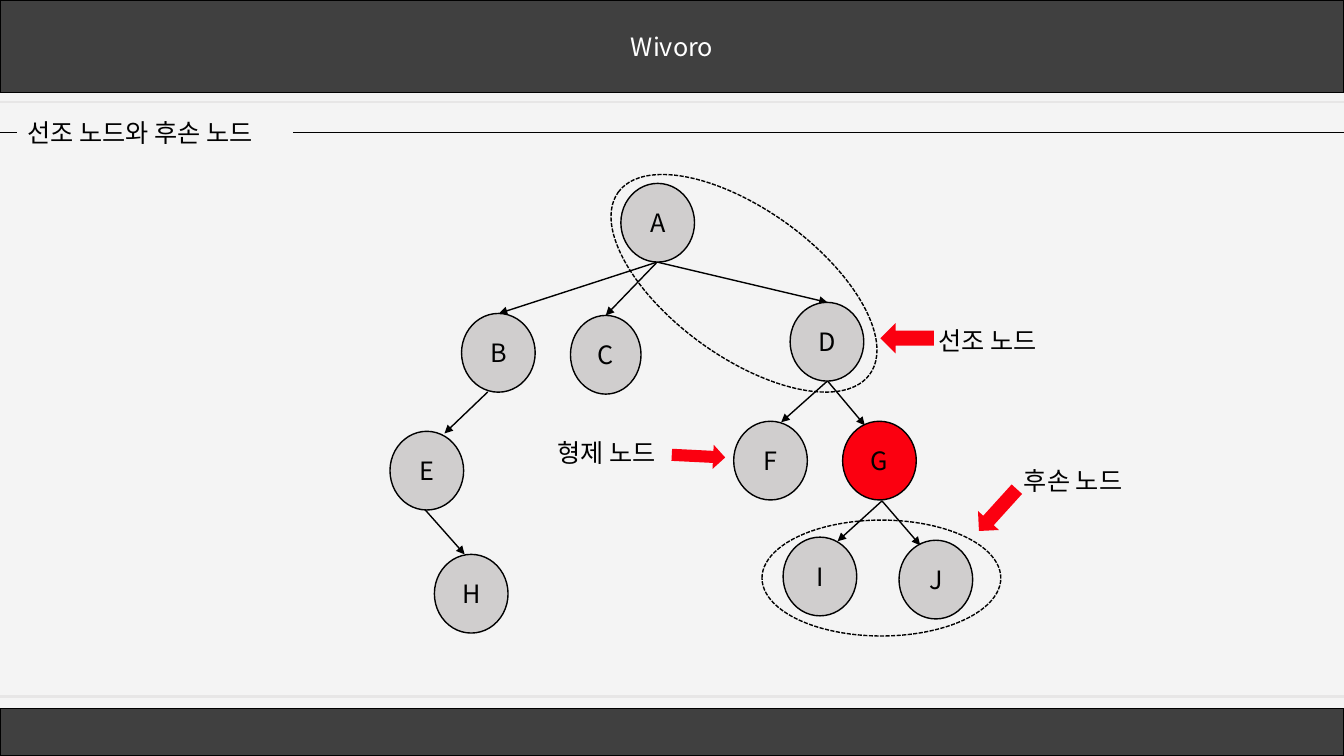
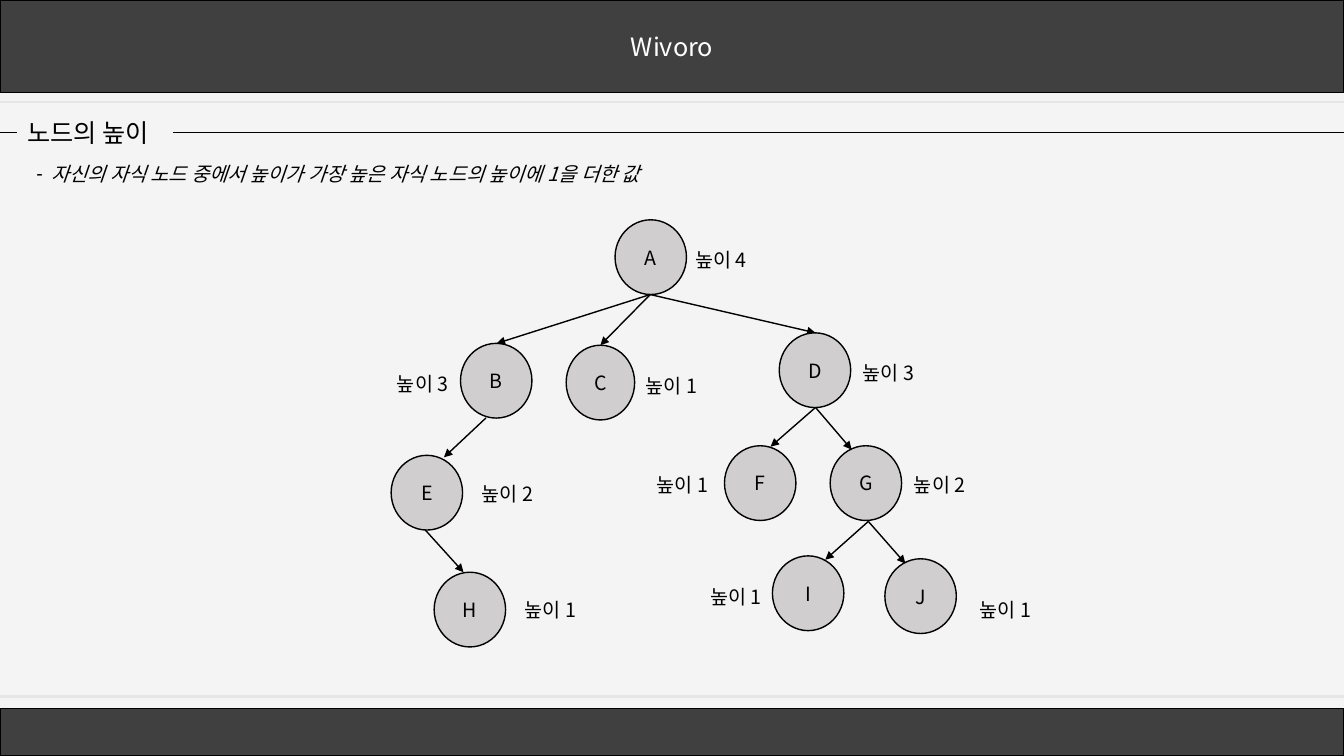
from dataclasses import dataclass

import lxml.etree
import pptx
import pptx.dml.color
import pptx.enum.dml
import pptx.enum.shapes
import pptx.enum.text
import pptx.oxml.ns
import pptx.util

Pt = pptx.util.Pt
RGB = pptx.dml.color.RGBColor.from_string
qn = pptx.oxml.ns.qn
ALIGN = pptx.enum.text.PP_ALIGN
SHAPE = pptx.enum.shapes.MSO_SHAPE


@dataclass(frozen=True)
class Theme:
    font: str = "Noto Sans CJK KR"
    ink: str = "000000"
    paper: str = "F4F4F4"
    band: str = "404040"
    band_text: str = "FFFFFF"
    rule: str = "E7E6E6"
    node: str = "D0CECE"
    accent: str = "FB0010"
    large: int = 18
    small: int = 14


theme = Theme()


def write_text(shape, text, size, color=theme.ink, align=ALIGN.LEFT):
    frame = shape.text_frame
    frame.text = text
    frame.word_wrap = True
    frame.auto_size = pptx.enum.text.MSO_AUTO_SIZE.NONE
    frame.vertical_anchor = pptx.enum.text.MSO_ANCHOR.MIDDLE
    paragraph = frame.paragraphs[0]
    paragraph.alignment = align
    paragraph.space_before = Pt(0)
    paragraph.line_spacing = 1.0
    paragraph.font.size = Pt(size)
    paragraph.font.name = theme.font
    paragraph.font.color.rgb = RGB(color)
    properties = paragraph._p.pPr.find(qn("a:defRPr"))
    lxml.etree.SubElement(properties, qn("a:ea"), typeface=theme.font)
    return paragraph


def draw_line(slide, start, end, color, width, arrow=False):
    line = slide.shapes.add_connector(
        pptx.enum.shapes.MSO_CONNECTOR.STRAIGHT, *map(Pt, start + end))
    line.line.color.rgb = RGB(color)
    line.line.width = Pt(width)
    if arrow:
        lxml.etree.SubElement(line.line._get_or_add_ln(), qn("a:tailEnd"), type="triangle")
    lxml.etree.SubElement(line._element.spPr, qn("a:effectLst"))


slide_width, slide_height = 960, 540
title_left, title_top, title_height = 12.2, 79.9, 28.8
title_middle = title_top + title_height / 2
node_width, narrow_width, node_height = 52.6, 50.4, 56.2

nodes = {
    "A": (164.9, 0), "B": (51.1, 92.9), "C": (128.9, 94.3), "D": (285.8, 85),
    "E": (0, 177.1), "F": (245.5, 169.9), "G": (323.3, 169.9),
    "H": (31.7, 265), "I": (280.8, 252.7), "J": (363.6, 254.9),
}
edges = [
    ((190.8, 56.2), (77.8, 92.9)),
    ((190.8, 56.2), (154.1, 94.3)),
    ((190.8, 56.2), (312.5, 85)),
    ((69.8, 149), (38.9, 178.6)),
    ((25.2, 233.3), (53.3, 265)),
    ((312.5, 141.1), (279.4, 170.6)),
    ((312.5, 141.1), (339.1, 172.8)),
    ((351.4, 226.8), (319.7, 255.6)),
    ((351.4, 226.8), (378.7, 258.5)),
]

heights = [
    ("4", 489.6, 173.5), ("3", 276.5, 262.1), ("1", 454.3, 263.5),
    ("3", 609.1, 254.2), ("2", 337, 340.6), ("1", 462.2, 334.1),
    ("2", 645.8, 334.1), ("1", 367.9, 423.4), ("1", 500.4, 414),
    ("1", 692.6, 423.4),
]
pages = [
    {
        "title": "선조 노드와 후손 노드", "title_width": 197.3, "body": None,
        "origin": (278.6, 131), "scale": (1, 1), "size": theme.large,
        "highlight": "G",
        "labels": [
            ("선조 노드", (663.1, 229, 95, 28.8)),
            ("후손 노드", (724.3, 329, 106.6, 28.8)),
            ("형제 노드", (391, 311.8, 112.3, 23)),
        ],
        "groups": [
            ((544.3, 371.5, 170.6, 82.8), 0),
            ((420.5, 149.8, 221.8, 105.1), 35.9),
        ],
        "pointers": [
            ((637.2, 222.5, 21.6, 38.2), 90),
            ((702.7, 344.2, 20.2, 40.3), 42.2),
            ((490.3, 306.7, 17.3, 38.2), 272.9),
        ],
    },
    {
        "title": "노드의 높이", "title_width": 111.6,
        "body": "자신의 자식 노드 중에서 높이가 가장 높은 자식 노드의 높이에 1을 더한 값",
        "origin": (279.4, 157), "scale": (0.97, 0.95), "size": theme.small,
        "highlight": None,
        "labels": [(f"높이 {value}", (left, top, 55.4, 24.5))
                   for value, left, top in heights],
        "groups": [], "pointers": [],
    },
]

presentation = pptx.Presentation()
presentation.slide_width = Pt(slide_width)
presentation.slide_height = Pt(slide_height)
background = presentation.slide_master.background.fill
background.solid()
background.fore_color.rgb = RGB(theme.paper)

for page in pages:
    layout = presentation.slide_layouts[1 if page["body"] else 5]
    slide = presentation.slides.add_slide(layout)

    title = slide.shapes.title
    title.left, title.top = Pt(title_left), Pt(title_top)
    title.width, title.height = Pt(page["title_width"]), Pt(title_height)
    write_text(title, page["title"], theme.large)

    if page["body"]:
        body = slide.placeholders[1]
        body.left, body.top, body.width, body.height = map(Pt, (18.7, 111.6, 501.8, 24.5))
        paragraph = write_text(body, page["body"], theme.small)
        paragraph.font.italic = True
        paragraph._p.pPr.set("marL", str(Pt(11)))
        paragraph._p.pPr.set("indent", str(-Pt(11)))
        bullet = lxml.etree.Element(qn("a:buChar"), char="-")
        paragraph._p.pPr.find(qn("a:defRPr")).addprevious(bullet)

    for y in (72.7, 497.5):
        draw_line(slide, (0, y), (slide_width, y), theme.rule, 1.5)
    title_right = title_left + page["title_width"]
    for start, end in ((0, title_left), (title_right, slide_width)):
        draw_line(slide, (start, title_middle), (end, title_middle), theme.ink, 0.5)

    (origin_x, origin_y), (scale_x, scale_y) = page["origin"], page["scale"]
    for edge in edges:
        start, end = [(origin_x + x * scale_x, origin_y + y * scale_y) for x, y in edge]
        draw_line(slide, start, end, theme.ink, 1, arrow=True)

    drawings = [
        (SHAPE.RECTANGLE, (0, 0, slide_width, 66.2), 0, theme.band, "Wivoro"),
        (SHAPE.RECTANGLE, (0, 506.2, slide_width, 33.8), 0, theme.band, ""),
    ]
    for name, (x, y) in nodes.items():
        width = narrow_width if name == "C" else node_width
        box = (origin_x + x * scale_x, origin_y + y * scale_y,
               width * scale_x, node_height * scale_y)
        fill = theme.accent if name == page["highlight"] else theme.node
        drawings.append((SHAPE.OVAL, box, 0, fill, name))
    drawings += [(SHAPE.OVAL, box, angle, None, "") for box, angle in page["groups"]]
    drawings += [(SHAPE.DOWN_ARROW, box, angle, theme.accent, "")
                 for box, angle in page["pointers"]]

    for kind, box, angle, fill, text in drawings:
        shape = slide.shapes.add_shape(kind, *map(Pt, box))
        shape.shadow.inherit = False
        shape.rotation = angle
        if kind == SHAPE.DOWN_ARROW:
            shape.line.fill.background()
        else:
            shape.line.color.rgb = RGB(theme.ink)
            shape.line.width = Pt(1)
        if fill:
            shape.fill.solid()
            shape.fill.fore_color.rgb = RGB(fill)
        else:
            shape.fill.background()
            shape.line.dash_style = pptx.enum.dml.MSO_LINE.SQUARE_DOT
        if text:
            is_band = kind == SHAPE.RECTANGLE
            write_text(shape, text, theme.large if is_band else page["size"],
                       theme.band_text if is_band else theme.ink, ALIGN.CENTER)

    for text, box in page["labels"]:
        label = slide.shapes.add_textbox(*map(Pt, box))
        write_text(label, text, page["size"])
        label.text_frame.margin_right = 0

presentation.save("out.pptx")
